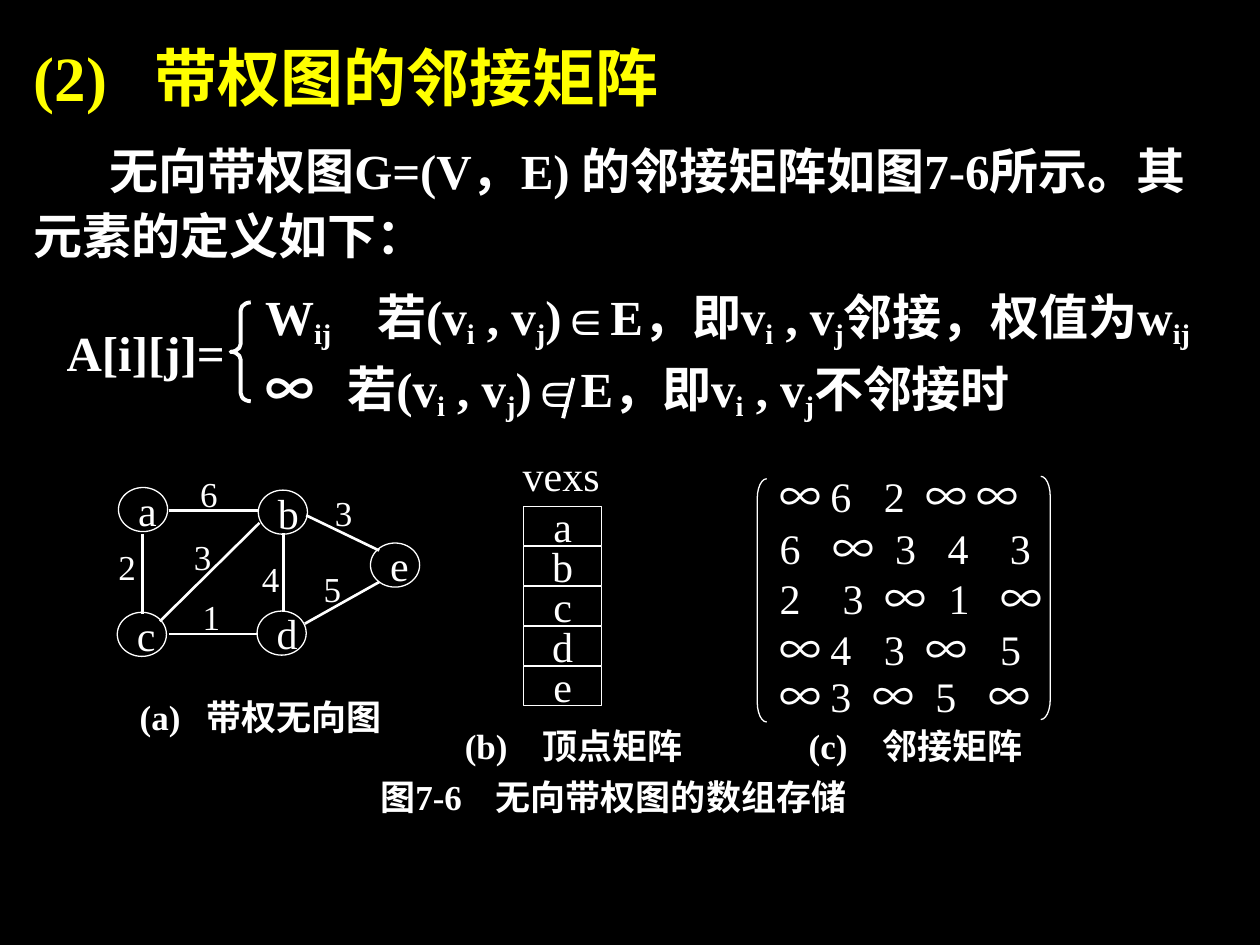
"""Build the slide on the adjacency matrix of a weighted graph."""
from itertools import groupby

from lxml.etree import SubElement
from pptx import Presentation
from pptx.dml.color import RGBColor
from pptx.enum.shapes import MSO_CONNECTOR as Line, MSO_SHAPE as Shape
from pptx.enum.text import MSO_ANCHOR as Anchor, MSO_AUTO_SIZE as Fit, PP_ALIGN as Align
from pptx.oxml.ns import qn
from pptx.util import Pt

BLACK = RGBColor(0, 0, 0)
WHITE = RGBColor(255, 255, 255)
YELLOW = RGBColor(255, 255, 0)
LATIN, CJK = "Times New Roman", "Noto Sans CJK SC"
SYMBOL_FONTS = {"∞": CJK, "∈": "Arial"}

TITLE = "(2)\t带权图的邻接矩阵"
INTRO = "无向带权图G=(V，E) 的邻接矩阵如图7-6所示。其元素的定义如下："

# Odd entries of each formula are subscripts.
FORMULAS = [
    (163.4, 64, ["W", "ij", "\t若(v", "i", " , v", "j", ")∈E，即v", "i", " , v", "j",
                 "邻接，权值为w", "ij"]),
    (204.5, 47, ["∞\t若(v", "i", " , v", "j", ")∈E，即v", "i", " , v", "j", "不邻接时"]),
]
CAPTIONS = [
    ("(a)\t带权无向图", 72.7, 396.7, 155, 38),
    ("(b)\t顶点矩阵", 258.5, 413.3, 145, 44.6),
    ("(c)\t邻接矩阵", 455, 413.3, 145, 42.3),
    ("图7-6\t无向带权图的数组存储", 210.2, 442.8, 290, 66),
]
NODES = {"a": (67.7, 278.6), "b": (147.6, 280.1), "c": (67, 349.9),
         "d": (146.9, 349.2), "e": (211.7, 310.3)}
EDGES = [
    ("2", (60.5, 312.5), (81.4, 305.3), (81.4, 350.6)),
    ("4", (142.6, 319.7), (162, 304.6), (162, 349.9)),
    ("6", (107.3, 270.7), (96.5, 291.6), (147.6, 291.6)),
    ("1", (108.7, 341.3), (96.5, 362.2), (147.6, 362.2)),
    ("3", (103.7, 306.7), (91.4, 355), (148.3, 298.8)),
    ("5", (177.8, 325.4), (174.2, 356.4), (216.7, 332.6)),
    ("3", (184.3, 281.5), (216.7, 314.6), (175, 294.5)),
]
MATRIX = [
    (270.7, "∞ 6 2 ∞ ∞", (29, 59.5, 83.5, 112.5)),
    (300.2, "6 ∞ 3 4 3", (30, 66, 96, 131.5)),
    (329, "2 3 ∞ 1 ∞", (36, 60, 96.5, 126)),
    (357.8, "∞ 4 3 ∞ 5", (29, 59.5, 83.5, 126)),
    (385.2, "∞ 3 ∞ 5 ∞", (29, 53, 89, 119.5)),
]
BRACKETS = [
    (Shape.LEFT_BRACKET, (432.7, 273.6, 5.4, 139), 2.08, 0.75),
    (Shape.RIGHT_BRACKET, (594.7, 272.2, 5.4, 139), 2.08, 0.75),
    (Shape.LEFT_BRACE, (131.8, 172.8, 11.5, 56.5), 0.4, 2.25),
]


def points(values):
    return [Pt(value) for value in values]


def add_text(frame, parts, size, bold=False, color=WHITE, stops=(), wrap=False, align=Align.LEFT):
    frame.word_wrap = wrap
    frame.auto_size = Fit.NONE
    frame.vertical_anchor = Anchor.MIDDLE
    if wrap:
        frame.margin_right = 0
    paragraph = frame.paragraphs[0]
    paragraph.alignment = align
    for index, part in enumerate(parts):
        for font, letters in groupby(part, lambda letter: SYMBOL_FONTS.get(letter, LATIN)):
            run = paragraph.add_run()
            run.text = "".join(letters)
            run.font.size, run.font.bold, run.font.name = Pt(size), bold, font
            run.font.color.rgb = color
            properties = run._r.get_or_add_rPr()
            SubElement(properties, qn("a:ea")).set("typeface", CJK)
            if index % 2:
                properties.set("baseline", "-18000")
    if stops:
        tabs = SubElement(paragraph._p.get_or_add_pPr(), qn("a:tabLst"))
        for stop in stops:
            tab = SubElement(tabs, qn("a:tab"))
            tab.set("pos", str(Pt(stop)))
            tab.set("algn", "l")
    return paragraph


def add_label(slide, box, parts, size, **style):
    frame = slide.shapes.add_textbox(*points(box)).text_frame
    return add_text(frame, parts, size, **style)


def add_outline(slide, kind, box, width=0.75):
    outline = slide.shapes.add_shape(kind, *points(box))
    outline.shadow.inherit = False
    outline.fill.background()
    outline.line.color.rgb = WHITE
    outline.line.width = Pt(width)
    return outline


def add_line(slide, start, end, width):
    line = slide.shapes.add_connector(Line.STRAIGHT, *points(start + end))
    line.line.color.rgb = WHITE
    line.line.width = Pt(width)
    SubElement(line._element.spPr, qn("a:effectLst"))


def add_heading(slide):
    title = slide.shapes.title
    title.left, title.top, title.width, title.height = points((12.2, 18.7, 687, 50))
    add_text(title.text_frame, [TITLE], 36, bold=True, color=YELLOW, stops=[69], wrap=True)
    intro = add_label(slide, (12.2, 73, 687, 82), [INTRO], 28, bold=True, wrap=True)
    intro.line_spacing = Pt(37)
    intro._p.get_or_add_pPr().set("indent", str(Pt(43.4)))


def add_definition(slide):
    add_label(slide, (31, 184.3, 93.6, 33.8), ["A[i][j]="], 28, bold=True)
    for top, stop, parts in FORMULAS:
        add_label(slide, (144.4, top, 575, 36.7), parts, 28, bold=True, stops=[stop], wrap=True)
    add_line(slide, (327.6, 216), (321.8, 239), 2.25)


def add_graph(slide):
    for name, corner in NODES.items():
        node = add_outline(slide, Shape.OVAL, corner + (28.1, 25.2))
        add_text(node.text_frame, [name], 24)
    for weight, corner, start, end in EDGES:
        add_line(slide, start, end, 1.5)
        add_label(slide, corner + (22.3, 22.3), [weight], 20)


def add_vertices(slide):
    add_label(slide, (291.6, 258.5, 56.9, 25.2), ["vexs"], 24)
    for row, name in enumerate(NODES):
        cell = add_outline(slide, Shape.RECTANGLE, (299.2, 289.4 + row * 22.86, 44.6, 22.3))
        add_text(cell.text_frame, [name], 24, align=Align.CENTER)


def add_matrix(slide):
    for top, row, stops in MATRIX:
        add_label(slide, (438.5, top, 175, 25.2), ["\t".join(row.split())], 24,
                  stops=stops, wrap=True)
    for kind, box, curve, width in BRACKETS:
        add_outline(slide, kind, box, width).adjustments[0] = curve


def main():
    deck = Presentation()
    deck.slide_width, deck.slide_height = points((720, 540))
    slide = deck.slides.add_slide(deck.slide_layouts[5])
    slide.background.fill.solid()
    slide.background.fill.fore_color.rgb = BLACK
    add_heading(slide)
    add_definition(slide)
    add_graph(slide)
    add_vertices(slide)
    add_matrix(slide)
    for text, left, top, width, stop in CAPTIONS:
        add_label(slide, (left, top, width, 25.2), [text], 20, bold=True, stops=[stop], wrap=True)
    deck.save("out.pptx")


if __name__ == "__main__":
    main()
